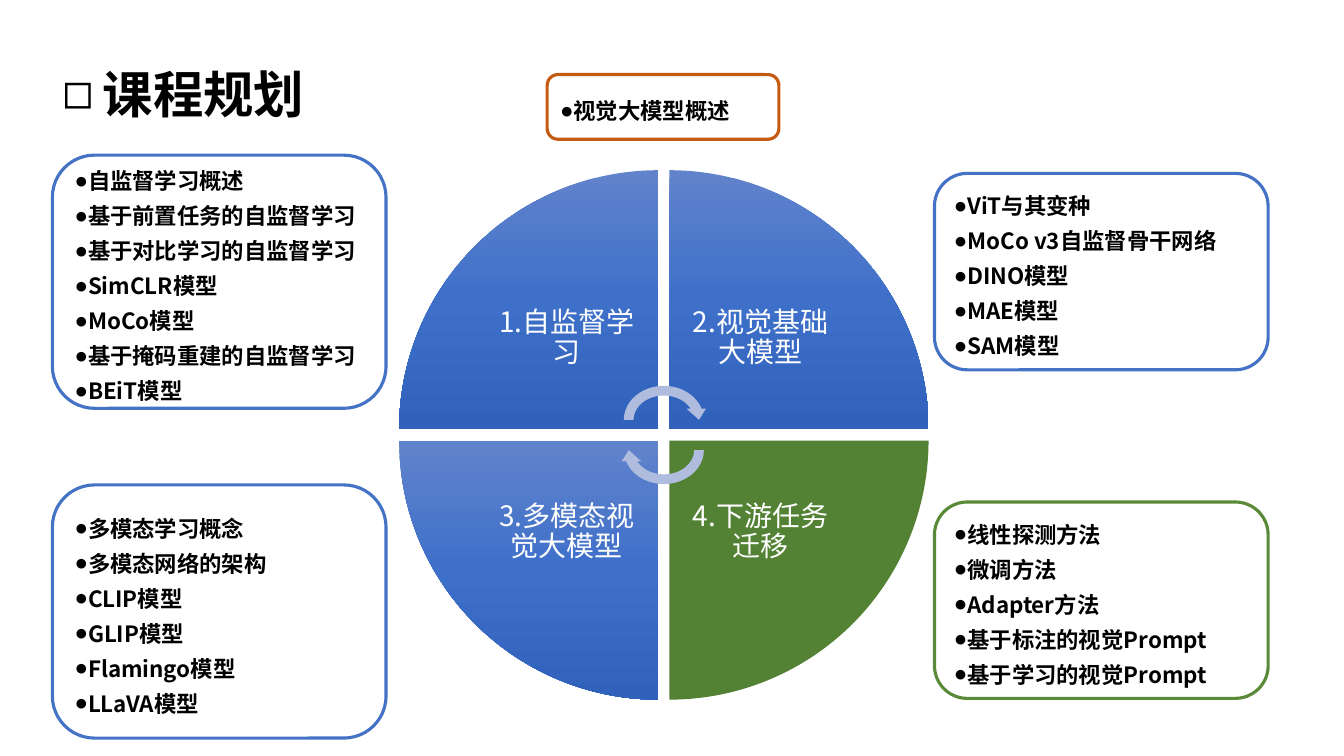
from dataclasses import dataclass
from itertools import product
from typing import Any

from lxml.etree import SubElement
from pptx import Presentation
from pptx.dml.color import RGBColor
from pptx.enum.shapes import MSO_SHAPE as Kind
from pptx.enum.text import MSO_ANCHOR as Anchor, PP_ALIGN as Align
from pptx.oxml import parse_xml
from pptx.oxml.ns import nsdecls, qn
from pptx.util import Cm, Pt

FONT = "Noto Sans CJK SC"
BLUE, GREEN, ORANGE = "4472C4", "5A8938", "C55A11"
SHADES = ((0, "6183CB"), (50, "3E70CA"), (100, "3062BB"))


@dataclass
class Wedge:
    text: str
    turn: int
    fill: str | None = None  # None gives the blue gradient


@dataclass
class Panel:
    left: float
    top: float
    width: float
    height: float
    line: str
    items: list[str]


WEDGES = [
    Wedge("1.自监督学习", 0),
    Wedge("2.视觉基础大模型", 90),
    Wedge("3.多模态视觉大模型", 270),
    Wedge("4.下游任务迁移", 180, "548235"),
]
PANELS = [
    Panel(1.32, 3.91, 8.41, 6.38, BLUE, [
        "自监督学习概述", "基于前置任务的自监督学习", "基于对比学习的自监督学习",
        "SimCLR模型", "MoCo模型", "基于掩码重建的自监督学习", "BEiT模型"]),
    Panel(23.55, 4.37, 8.41, 4.95, BLUE, [
        "ViT与其变种", "MoCo v3自监督骨干网络", "DINO模型", "MAE模型", "SAM模型"]),
    Panel(1.32, 12.22, 8.41, 6.38, BLUE, [
        "多模态学习概念", "多模态网络的架构", "CLIP模型", "GLIP模型",
        "Flamingo模型", "LLaVA模型"]),
    Panel(23.55, 12.65, 8.41, 4.95, GREEN, [
        "线性探测方法", "微调方法", "Adapter方法",
        "基于标注的视觉Prompt", "基于学习的视觉Prompt"]),
    Panel(13.79, 1.88, 5.84, 1.63, ORANGE, ["视觉大模型概述"]),
]


def color(code: str) -> RGBColor:
    return RGBColor.from_string(code)


def write(shape: Any, lines: list[str], *, size: int, pitch: float,
          ink: str = "000000", bold: bool = False, align: Align = Align.LEFT,
          anchor: Anchor = Anchor.MIDDLE, bullet: str = "",
          indent: float = 0, inset: float | None = None) -> None:
    frame = shape.text_frame
    frame.word_wrap = True
    frame.vertical_anchor = anchor
    if inset is not None:
        frame.margin_left = frame.margin_right = Cm(inset)
        frame.margin_top = frame.margin_bottom = Cm(inset)
    for i, line in enumerate(lines):
        para = frame.paragraphs[0] if i == 0 else frame.add_paragraph()
        if bullet:
            props = para._p.get_or_add_pPr()
            props.set("marL", str(Cm(indent)))
            props.set("indent", str(-Cm(indent)))
            SubElement(props, qn("a:buFont"), typeface="Arial")
            SubElement(props, qn("a:buChar"), char=bullet)
        para.alignment = align
        para.line_spacing = Pt(pitch)
        run = para.add_run()
        run.text = line
        font = run.font
        font.size, font.bold, font.name = Pt(size), bold, FONT
        font.color.rgb = color(ink)
        SubElement(run._r.get_or_add_rPr(), qn("a:ea"), typeface=FONT)


def draw(slide: Any, kind: Kind, left: float, top: float, width: float,
         height: float, *, fill: str | None = None, line: str | None = None,
         turn: int = 0) -> Any:
    shape = slide.shapes.add_shape(kind, Cm(left), Cm(top), Cm(width), Cm(height))
    shape.shadow.inherit = False
    shape.rotation = turn
    if fill:
        shape.fill.solid()
        shape.fill.fore_color.rgb = color(fill)
    else:
        shape.fill.background()
    if line:
        shape.line.color.rgb = color(line)
        shape.line.width = Pt(2.25)
    else:
        shape.line.fill.background()
    return shape


def blend(shape: Any) -> None:
    """Fill from top to bottom, whichever way the shape is turned."""
    stops = "".join(f'<a:gs pos="{pos * 1000}"><a:srgbClr val="{code}"/></a:gs>'
                    for pos, code in SHADES)
    grad = parse_xml(f'<a:gradFill {nsdecls("a")} rotWithShape="0"><a:gsLst>{stops}'
                     '</a:gsLst><a:lin ang="5400000" scaled="0"/></a:gradFill>')
    props = shape._element.spPr
    props.replace(props.find(qn("a:noFill")), grad)


def wheel(slide: Any) -> None:
    left, top, side, step, label = 10.06, 4.29, 6.53, 6.81, 4.6
    for (row, col), wedge in zip(product(range(2), repeat=2), WEDGES):
        x, y = left + col * step, top + row * step
        part = draw(slide, Kind.PIE_WEDGE, x, y, side, side,
                    fill=wedge.fill, turn=wedge.turn)
        if wedge.fill is None:
            blend(part)
        # Labels sit in the corner nearest the hub
        box = slide.shapes.add_textbox(
            Cm(x + (1 - col) * (side - label)), Cm(y + (1 - row) * (side - label)),
            Cm(label), Cm(label))
        write(box, [wedge.text], size=20, pitch=21.5, ink="FFFFFF",
              align=Align.CENTER, inset=0.41)
    for y, turn in ((9.6, 0), (10.36, 180)):
        draw(slide, Kind.CIRCULAR_ARROW, 15.6, y, 2.26, 1.96, fill="B0BCDE", turn=turn)


def main() -> None:
    deck = Presentation()
    deck.slide_width, deck.slide_height = Cm(33.87), Cm(19.05)
    slide = deck.slides.add_slide(deck.slide_layouts[6])

    # Wheel of four topics
    wheel(slide)

    # Title
    title = slide.shapes.add_textbox(Cm(1.32), Cm(1.57), Cm(12), Cm(1.9))
    write(title, ["课程规划"], size=36, pitch=40, bold=True,
          anchor=Anchor.TOP, bullet="◻", indent=1.02)

    # Panels of course contents
    for panel in PANELS:
        box = draw(slide, Kind.ROUNDED_RECTANGLE, panel.left, panel.top,
                   panel.width, panel.height, line=panel.line)
        write(box, panel.items, size=16, pitch=25, bold=True, bullet="●")

    deck.save("out.pptx")


if __name__ == "__main__":
    main()
